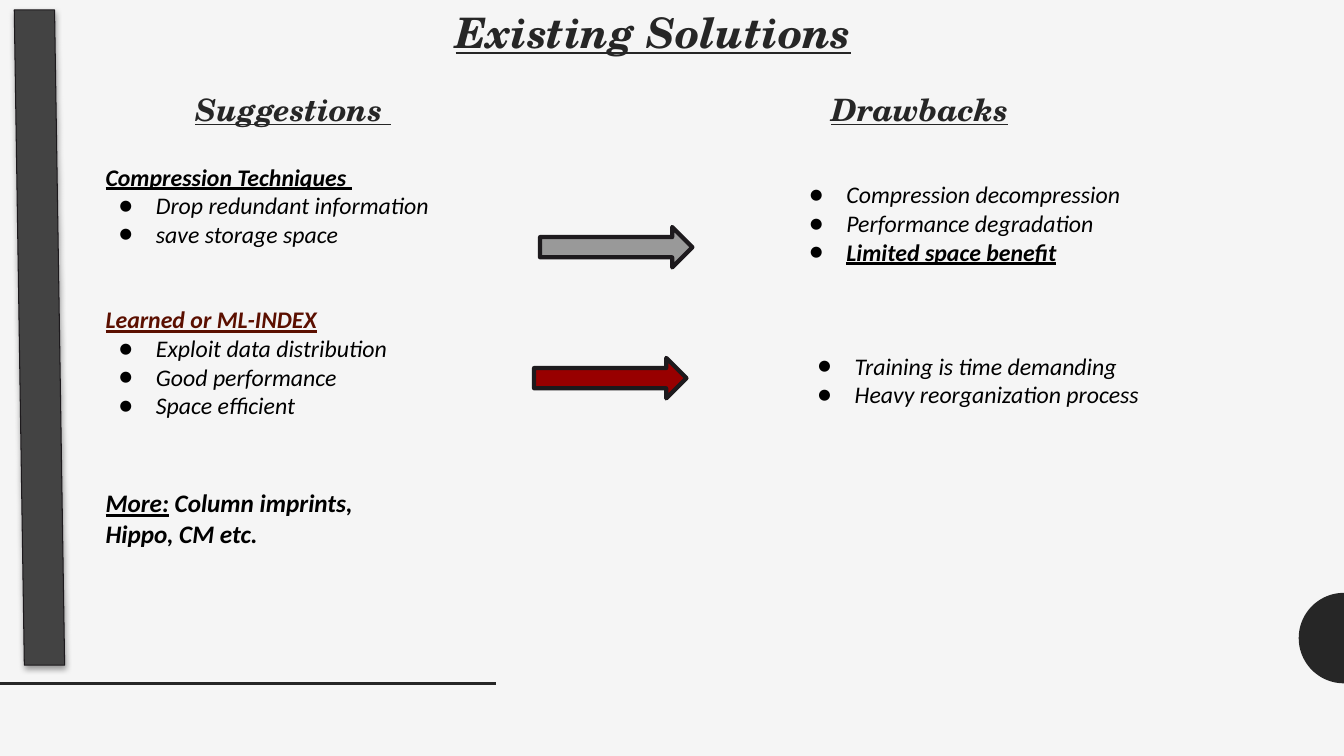
"""Build the Existing Solutions slide with its suggestions and drawbacks."""
from dataclasses import dataclass
from math import cos, pi, sin

from lxml import etree
from pptx import Presentation
from pptx.dml.color import RGBColor
from pptx.enum.shapes import MSO_CONNECTOR, MSO_SHAPE
from pptx.enum.text import MSO_ANCHOR, MSO_AUTO_SIZE, PP_ALIGN
from pptx.oxml.ns import qn
from pptx.util import Cm, Pt

STRAIGHT = MSO_CONNECTOR.STRAIGHT
ARROW, SLANT = MSO_SHAPE.RIGHT_ARROW, MSO_SHAPE.FLOWCHART_DATA
TOP, NO_FIT = MSO_ANCHOR.TOP, MSO_AUTO_SIZE.NONE
LEFT, CENTER = PP_ALIGN.LEFT, PP_ALIGN.CENTER
SERIF, SANS = "TeX Gyre Schola", "Calibri"
COLORS = {"back": "F5F5F5", "dark": "262626", "bar": "434343", "edge": "1D1A1D",
          "black": "000000", "maroon": "5B0F00", "gray": "999999", "red": "980000"}
COMPARISON = 4
WIDTH, HEIGHT = 33.87, 19.05


@dataclass
class Heading:
    idx: int
    text: str
    box: tuple
    size: int
    align: PP_ALIGN = LEFT


@dataclass
class Block:
    box: tuple
    items: tuple
    title: str = ""
    color: str = "black"
    strong: str = ""
    idx: int = 0


@dataclass
class Arrow:
    left: float
    top: float
    color: str


HEADINGS = (
    Heading(0, "Existing Solutions", (6.17, 0.18, 20.6, 1.98), 30, CENTER),
    Heading(1, "Suggestions ", (4.67, 2.26, 8.94, 1.5), 22),
    Heading(3, "Drawbacks", (20.7, 2.26, 9.19, 1.5), 22),
)
BLOCKS = (
    Block((2.41, 3.84, 11.99, 3.53), ("Drop redundant information", "save storage space"),
          title="Compression Techniques ", idx=2),
    Block((19.81, 4.29, 11.99, 3.25),
          ("Compression decompression", "Performance degradation", "Limited space benefit"),
          strong="Limited space benefit", idx=4),
    Block((2.41, 7.44, 11.05, 4.6),
          ("Exploit data distribution", "Good performance", "Space efficient"),
          title="Learned or ML-INDEX", color="maroon"),
    Block((20.02, 8.61, 11.99, 3.25),
          ("Training is time demanding", "Heavy reorganization process")),
)
ARROWS = (Arrow(13.61, 5.72, "gray"), Arrow(13.46, 9.02, "red"))


def rgb(name: str) -> RGBColor:
    """Return the named colour."""
    return RGBColor.from_string(COLORS[name])


def place(s, box: tuple, inset: float):
    """Move a text shape, set its frame and return the frame."""
    s.left, s.top, s.width, s.height = (Cm(v) for v in box)
    tf = s.text_frame
    tf.word_wrap, tf.auto_size, tf.vertical_anchor = True, NO_FIT, TOP
    tf.margin_left = tf.margin_right = Cm(0.25)
    tf.margin_top = tf.margin_bottom = Cm(inset)
    return tf


def add_paragraph(tf, bullet: bool = False, align: PP_ALIGN = LEFT, spacing: float = 1.0):
    """Return the next paragraph, with or without a round bullet."""
    p = tf.add_paragraph() if tf.paragraphs[0].runs else tf.paragraphs[0]
    p.alignment, p.line_spacing = align, spacing
    p.space_before = p.space_after = Pt(0)
    pr = p._p.get_or_add_pPr()
    pr.set("marL", str(Cm(1.27) if bullet else 0))
    pr.set("indent", str(Cm(-0.94) if bullet else 0))
    if bullet:
        clr = etree.SubElement(pr, qn("a:buClr"))
        etree.SubElement(clr, qn("a:srgbClr"), val=COLORS["black"])
        etree.SubElement(pr, qn("a:buFont"), typeface=SANS)
        etree.SubElement(pr, qn("a:buChar"), char="●")
    else:
        etree.SubElement(pr, qn("a:buNone"))
    return p


def add_text(p, text: str, *, font: str = SANS, size: int = 17, color: str = "black",
             bold: bool = False, underline: bool = False) -> None:
    """Add an italic run in the given format."""
    r = p.add_run()
    r.text = text
    f = r.font
    f.name, f.size, f.italic = font, Pt(size), True
    f.bold, f.underline = bold, underline
    f.color.rgb = rgb(color)


def add_heading(slide, h: Heading) -> None:
    """Fill a heading placeholder."""
    tf = place(slide.placeholders[h.idx], h.box, 0.13)
    p = add_paragraph(tf, align=h.align, spacing=0.9)
    add_text(p, h.text, font=SERIF, size=h.size, color="dark", bold=True, underline=True)


def add_block(slide, b: Block) -> None:
    """Write a bulleted list under its optional title."""
    s = slide.placeholders[b.idx] if b.idx else slide.shapes.add_textbox(0, 0, 0, 0)
    tf = place(s, b.box, 0.25)
    if b.title:
        add_text(add_paragraph(tf), b.title, color=b.color, bold=True, underline=True)
    for item in b.items:
        strong = item == b.strong
        add_text(add_paragraph(tf, bullet=True), item, bold=strong, underline=strong)


def add_more(slide) -> None:
    """Write the closing remark."""
    tf = place(slide.shapes.add_textbox(0, 0, 0, 0), (2.41, 12.04, 9.5, 2.69), 0.25)
    p = add_paragraph(tf)
    add_text(p, "More:", size=18, bold=True, underline=True)
    add_text(p, " Column imprints,", size=18, bold=True)
    add_text(add_paragraph(tf), "Hippo, CM etc.", size=18, bold=True)


def add_filled(slide, kind: MSO_SHAPE, box: tuple, fill: str, weight: float):
    """Add a filled preset shape with a dark edge."""
    s = slide.shapes.add_shape(kind, *(Cm(v) for v in box))
    s.shadow.inherit = False
    s.fill.solid()
    s.fill.fore_color.rgb = rgb(fill)
    s.line.color.rgb = rgb("edge")
    s.line.width = Pt(weight)
    return s


def add_decor(slide) -> None:
    """Draw the half disc, the rule and the slanted bar."""
    x, y, radius, steps = WIDTH, 16.08, 1.14, 48
    pts = [(Cm(x - radius * sin(pi * i / steps)), Cm(y - radius * cos(pi * i / steps)))
           for i in range(steps + 1)]
    fb = slide.shapes.build_freeform(*pts[0])
    fb.add_line_segments(pts[1:], close=True)
    s = fb.convert_to_shape()
    s.shadow.inherit = False
    s.fill.solid()
    s.fill.fore_color.rgb = rgb("dark")
    s.line.fill.background()

    rule = slide.shapes.add_connector(STRAIGHT, 0, Cm(17.22), Cm(12.5), Cm(17.22))
    rule.line.color.rgb = rgb("dark")
    rule.line.width = Pt(2)
    etree.SubElement(rule._element.spPr, qn("a:effectLst"))

    bar = add_filled(slide, SLANT, (0.36, 0.25, 1.27, 16.51), "bar", 0.75)
    bar.rotation = 180
    bar._element.spPr.find(qn("a:xfrm")).set("flipH", "1")
    effects = bar._element.spPr.find(qn("a:effectLst"))
    shadow = etree.SubElement(effects, qn("a:outerShdw"), blurRad=str(Pt(4.5)),
                              dist=str(Pt(1.5)), dir="5400000", rotWithShape="0")
    clr = etree.SubElement(shadow, qn("a:srgbClr"), val=COLORS["black"])
    etree.SubElement(clr, qn("a:alpha"), val="39000")


def main() -> None:
    """Build and save the slide."""
    prs = Presentation()
    prs.slide_width, prs.slide_height = Cm(WIDTH), Cm(HEIGHT)
    slide = prs.slides.add_slide(prs.slide_layouts[COMPARISON])
    slide.background.fill.solid()
    slide.background.fill.fore_color.rgb = rgb("back")
    add_decor(slide)
    for h in HEADINGS:
        add_heading(slide, h)
    for b in BLOCKS:
        add_block(slide, b)
    add_more(slide)
    for a in ARROWS:
        add_filled(slide, ARROW, (a.left, a.top, 3.84, 1.02), a.color, 3)
    prs.save("out.pptx")


if __name__ == "__main__":
    main()
